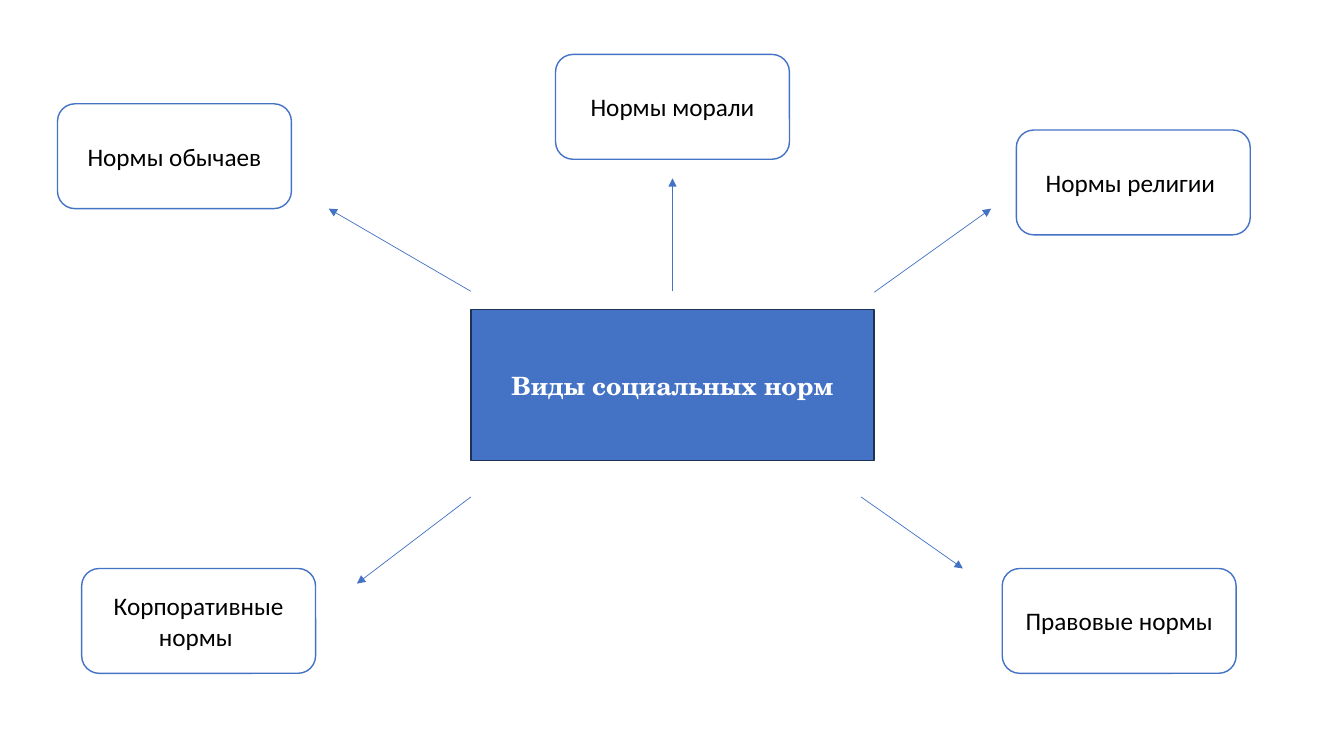
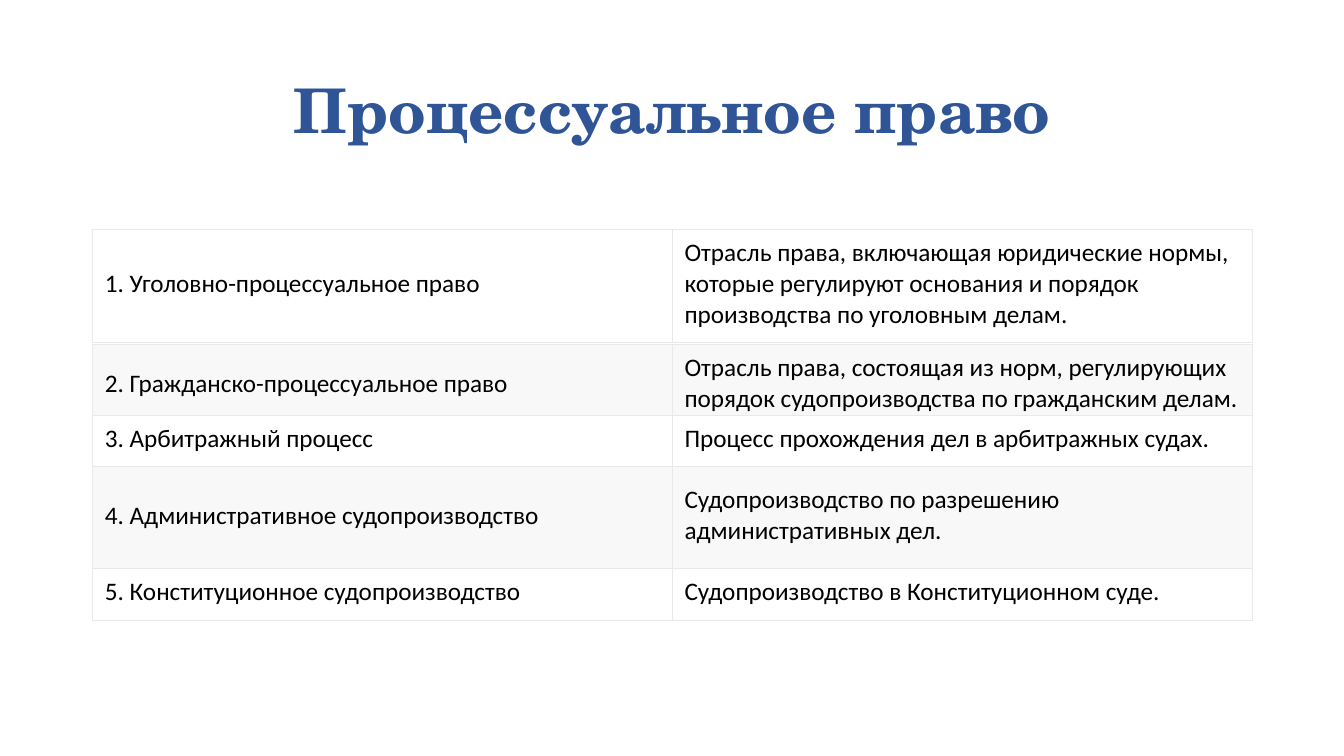
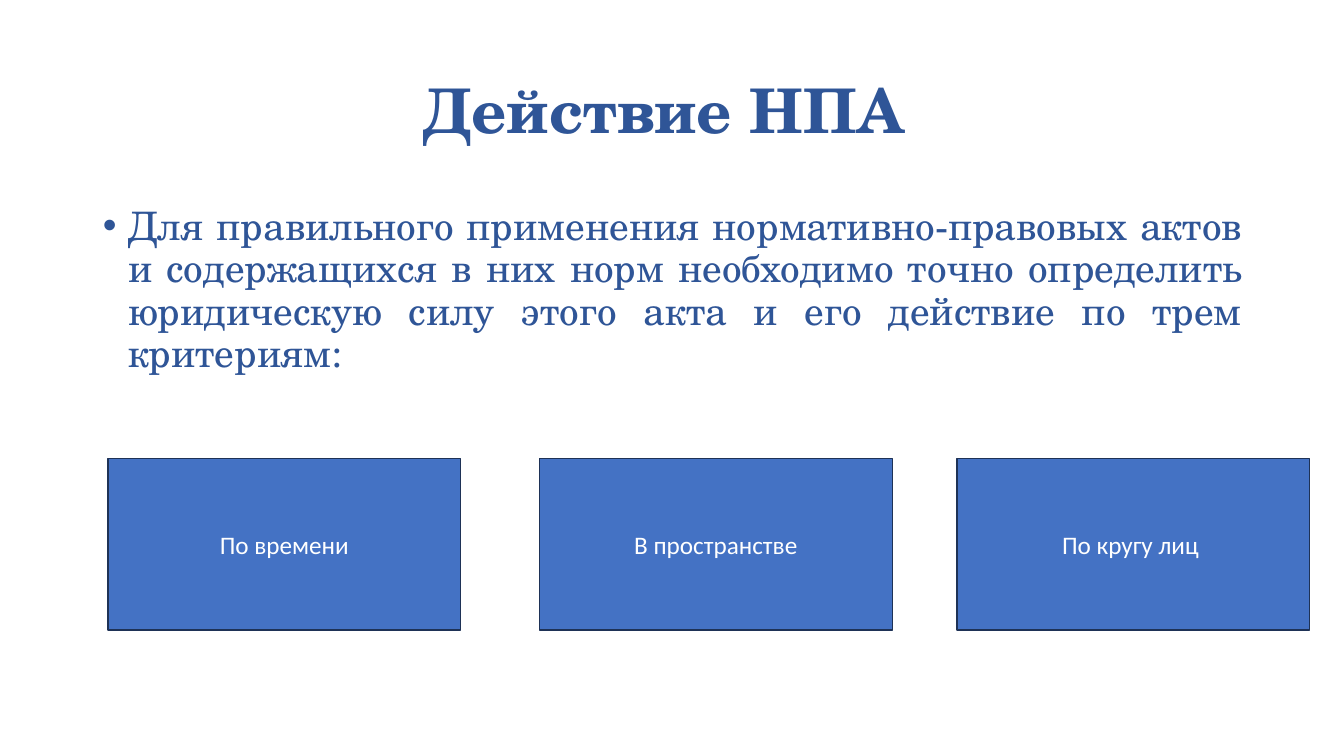
from lxml import etree
from pptx import Presentation
from pptx.dml.color import RGBColor
from pptx.enum.shapes import MSO_CONNECTOR, MSO_SHAPE
from pptx.enum.text import MSO_ANCHOR, MSO_AUTO_SIZE, PP_ALIGN
from pptx.oxml.ns import qn
from pptx.util import Inches, Pt

BLUE = RGBColor(0x44, 0x72, 0xC4)
NAVY = RGBColor(0x1E, 0x32, 0x56)
TITLE_BLUE = RGBColor(0x2F, 0x55, 0x97)
WHITE = RGBColor(0xFF, 0xFF, 0xFF)
BLACK = RGBColor(0x00, 0x00, 0x00)
PALE = RGBColor(0xF8, 0xF8, 0xF8)
BORDER = RGBColor(0xE9, 0xE9, 0xE9)
SANS, SERIF = "Calibri", "TeX Gyre Schola"

LAYOUT_CONTENT, LAYOUT_TITLE, LAYOUT_BLANK = 1, 5, 6
LEFT, CONTENT_W = 0.92, 11.5


def place(sp, left, top, width, height):
    sp.left, sp.top = Inches(left), Inches(top)
    sp.width, sp.height = Inches(width), Inches(height)


def style_text(tf, size, color, font=SANS, bold=False, align=PP_ALIGN.LEFT):
    for p in tf.paragraphs:
        p.alignment = align
        for r in p.runs:
            r.font.size, r.font.name, r.font.bold = Pt(size), font, bold
            r.font.color.rgb = color


def add_box(slide, text, box, kind=MSO_SHAPE.RECTANGLE, fill=BLUE, line=NAVY,
            color=WHITE, font=SANS, bold=False):
    sp = slide.shapes.add_shape(kind, *map(Inches, box))
    sp.shadow.inherit = False
    sp.fill.solid()
    sp.fill.fore_color.rgb = fill
    sp.line.color.rgb = line
    sp.line.width = Pt(1)
    tf = sp.text_frame
    tf.word_wrap = True
    tf.vertical_anchor = MSO_ANCHOR.MIDDLE
    tf.text = text
    style_text(tf, 18, color, font, bold, PP_ALIGN.CENTER)


def add_arrow(slide, start, end):
    line = slide.shapes.add_connector(
        MSO_CONNECTOR.STRAIGHT, *map(Inches, (*start, *end)))
    line.line.color.rgb = BLUE
    line.line.width = Pt(0.5)
    ln = line.line._get_or_add_ln()
    etree.SubElement(ln, qn("a:tailEnd"), type="triangle")
    etree.SubElement(line._element.spPr, qn("a:effectLst"))


def add_title(slide, text):
    title = slide.shapes.title
    place(title, LEFT, 0.4, CONTENT_W, 1.45)
    tf = title.text_frame
    tf.vertical_anchor = MSO_ANCHOR.MIDDLE
    tf.text = text
    tf.paragraphs[0].line_spacing = 0.9
    style_text(tf, 44, TITLE_BLUE, SERIF, True, PP_ALIGN.CENTER)


def add_bullet_body(slide, text, box):
    body = slide.placeholders[1]
    place(body, *box)
    tf = body.text_frame
    tf.auto_size = MSO_AUTO_SIZE.NONE
    tf.text = text
    p = tf.paragraphs[0]
    pPr = p._p.get_or_add_pPr()
    pPr.set("marL", str(Inches(0.25)))
    pPr.set("indent", str(-Inches(0.25)))
    etree.SubElement(pPr, qn("a:buFont"), typeface="Arial")
    etree.SubElement(pPr, qn("a:buChar"), char="•")
    p.line_spacing = 0.9
    p.space_before = Pt(0)
    style_text(tf, 28, TITLE_BLUE, SERIF, align=PP_ALIGN.JUSTIFY)


def set_borders(cell):
    tcPr = cell._tc.get_or_add_tcPr()
    for i, side in enumerate(("lnL", "lnR", "lnT", "lnB")):
        ln = etree.Element(qn(f"a:{side}"), w=str(Pt(0.6)))
        fill = etree.SubElement(ln, qn("a:solidFill"))
        etree.SubElement(fill, qn("a:srgbClr"), val=str(BORDER))
        tcPr.insert(i, ln)


def fill_cell(cell, text, color):
    cell.fill.solid()
    cell.fill.fore_color.rgb = color
    set_borders(cell)
    cell.vertical_anchor = MSO_ANCHOR.MIDDLE
    cell.margin_left = cell.margin_right = cell.margin_bottom = Inches(0.12)
    cell.margin_top = Inches(0.08)
    cell.text = text
    style_text(cell.text_frame, 18, BLACK)


def add_definitions(slide, top, rows):
    """Add a two-column table; each row is (height, fill, term, meaning)."""
    height = sum(row[0] for row in rows)
    table = slide.shapes.add_table(
        len(rows), 2, Inches(LEFT), Inches(top), Inches(CONTENT_W), Inches(height)).table
    table.first_row = table.horz_banding = False
    for i, (row_h, color, *texts) in enumerate(rows):
        table.rows[i].height = Inches(row_h)
        for j, text in enumerate(texts):
            fill_cell(table.cell(i, j), text, color)


def build_norm_types(prs):
    slide = prs.slides.add_slide(prs.slide_layouts[LAYOUT_BLANK])
    add_box(slide, "Виды социальных норм", (4.67, 3.07, 4, 1.5), font=SERIF, bold=True)
    norms = [
        ("Нормы обычаев", (0.57, 1.03), (4.67, 2.89), (3.26, 2.07)),
        ("Нормы морали", (5.51, 0.54), (6.67, 2.89), (6.67, 1.77)),
        ("Нормы религии ", (10.08, 1.29), (8.67, 2.9), (9.83, 2.07)),
        ("Корпоративные нормы ", (0.81, 5.64), (4.67, 4.93), (3.54, 5.79)),
        ("Правовые нормы", (9.94, 5.64), (8.54, 4.93), (9.55, 5.64)),
    ]
    for text, corner, start, end in norms:
        add_arrow(slide, start, end)
        add_box(slide, text, (*corner, 2.32, 1.04), MSO_SHAPE.ROUNDED_RECTANGLE,
                WHITE, BLUE, BLACK)


def build_procedural_law(prs):
    slide = prs.slides.add_slide(prs.slide_layouts[LAYOUT_TITLE])
    add_title(slide, "Процессуальное право")
    tables = [
        (2.28, [(1.11, WHITE, "1. Уголовно-процессуальное право",
                 "Отрасль права, включающая юридические нормы, которые регулируют "
                 "основания и порядок производства по уголовным делам.")]),
        (3.42, [(0.81, PALE, "2. Гражданско-процессуальное право",
                 "Отрасль права, состоящая из норм, регулирующих порядок "
                 "судопроизводства по гражданским делам.")]),
        (4.12, [(0.51, WHITE, "3. Арбитражный процесс",
                 "Процесс прохождения дел в арбитражных судах.")]),
        (4.63, [(1.01, PALE, "4. Административное судопроизводство",
                 "Судопроизводство по разрешению административных дел."),
                (0.51, WHITE, "5. Конституционное судопроизводство",
                 "Судопроизводство в Конституционном суде.")]),
    ]
    for top, rows in tables:
        add_definitions(slide, top, rows)


def build_act_validity(prs):
    slide = prs.slides.add_slide(prs.slide_layouts[LAYOUT_CONTENT])
    add_title(slide, "Действие НПА ")
    add_bullet_body(
        slide,
        "Для правильного применения нормативно-правовых актов и содержащихся в них "
        "норм необходимо точно определить юридическую силу этого акта и его действие "
        "по трем критериям:",
        (LEFT, 2, CONTENT_W, 4.76))
    criteria = [("По времени", 1.07), ("В пространстве", 5.35), ("По кругу лиц ", 9.49)]
    for text, left in criteria:
        add_box(slide, text, (left, 4.55, 3.5, 1.7))


def main():
    prs = Presentation()
    prs.slide_width, prs.slide_height = Inches(13.33), Inches(7.5)
    build_norm_types(prs)
    build_procedural_law(prs)
    build_act_validity(prs)
    prs.save("out.pptx")


if __name__ == "__main__":
    main()
